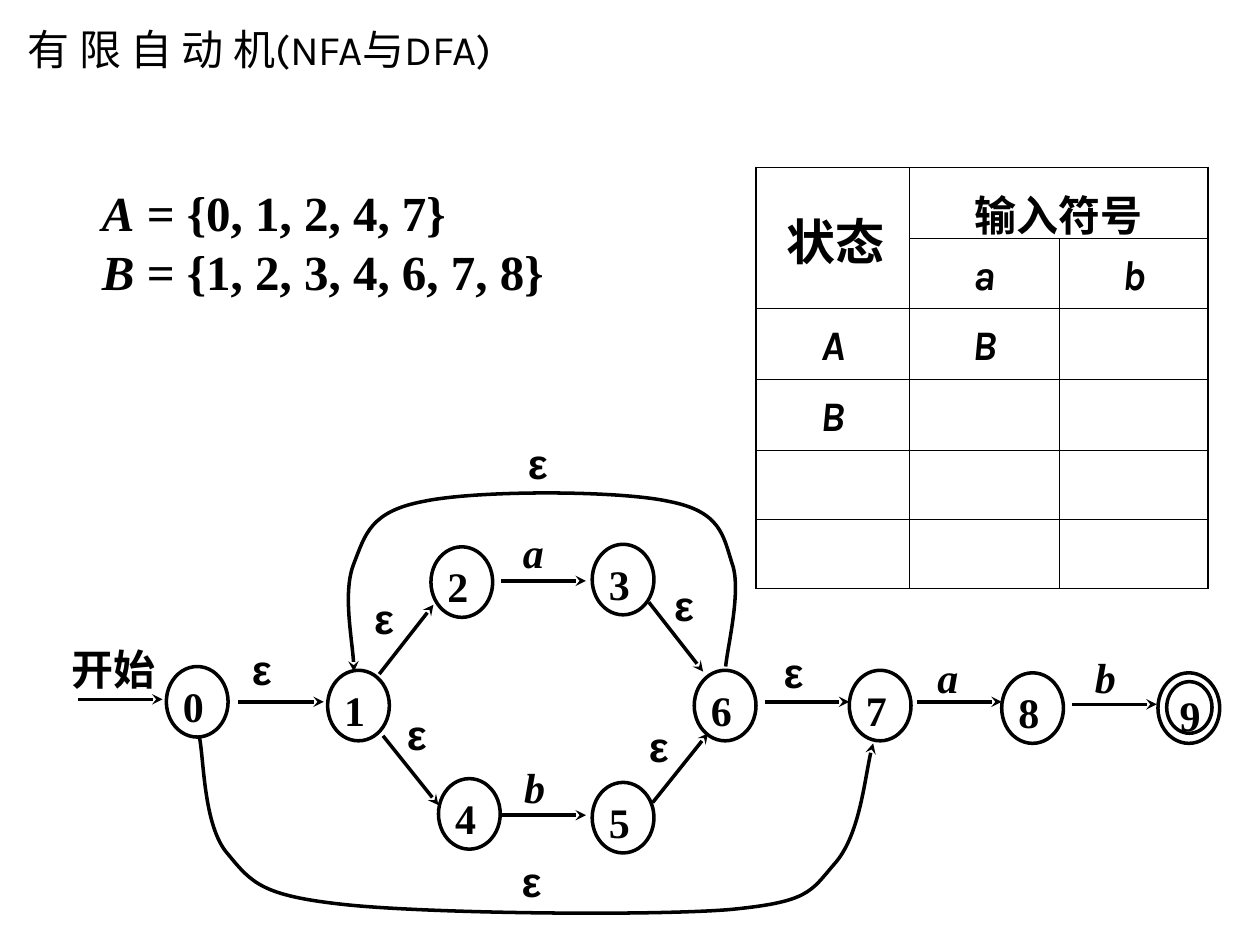
from lxml import etree
from pptx import Presentation
from pptx.dml.color import RGBColor
from pptx.enum.shapes import MSO_CONNECTOR, MSO_SHAPE
from pptx.enum.text import MSO_ANCHOR, MSO_AUTO_SIZE, PP_ALIGN
from pptx.oxml.ns import qn
from pptx.util import Inches, Pt

LEFT, CENTER, JUSTIFY = PP_ALIGN.LEFT, PP_ALIGN.CENTER, PP_ALIGN.JUSTIFY
TOP, MIDDLE = MSO_ANCHOR.TOP, MSO_ANCHOR.MIDDLE
RECTANGLE, OVAL = MSO_SHAPE.RECTANGLE, MSO_SHAPE.OVAL
STRAIGHT = MSO_CONNECTOR.STRAIGHT
NO_AUTOFIT = MSO_AUTO_SIZE.NONE
color = RGBColor.from_string
BLACK, WHITE = "000000", "FFFFFF"
SERIF, SANS, LABEL_FONT = "Times New Roman", "Karla", "Arial"
LABEL_INSETS = (0.06, 0.03, 0.06, 0.03)


def write(frame, text, size=24, font=SERIF, bold=True, italic=False,
          align=LEFT, anchor=TOP, insets=LABEL_INSETS, wrap=True):
    """Add a span to the last paragraph of the frame; cells take no insets."""
    if insets:
        frame.word_wrap = wrap
        frame.vertical_anchor = anchor
        (frame.margin_left, frame.margin_top,
         frame.margin_right, frame.margin_bottom) = map(Inches, insets)
    para = frame.paragraphs[-1]
    para.alignment = align
    span = para.add_run()
    span.text = text
    span.font.size = Pt(size)
    span.font.name = font
    span.font.bold = bold
    span.font.italic = italic
    span.font.color.rgb = color(BLACK)


def style_arrow(shape):
    shape.line.color.rgb = color(BLACK)
    shape.line.width = Pt(2)
    properties = shape._element.spPr
    etree.SubElement(properties.find(qn("a:ln")), qn("a:tailEnd"), type="stealth")
    etree.SubElement(properties, qn("a:effectLst"))


deck = Presentation()
deck.slide_width, deck.slide_height = Inches(10), Inches(7.5)
page = deck.slides.add_slide(deck.slide_layouts[5])

# Title
title = page.shapes.title
title.left, title.top = Inches(0.12), Inches(0.05)
title.width, title.height = Inches(4.09), Inches(0.68)
title.fill.solid()
title.fill.fore_color.rgb = color(WHITE)
title.text_frame.auto_size = NO_AUTOFIT
write(title.text_frame, "有 限 自 动 机(NFA与DFA)", font=SANS, bold=False,
      anchor=MIDDLE, insets=(0.1, 0.05, 0.1, 0.05))

# Automaton states: name, left, top, width, height
diagram = page.shapes.add_group_shape().shapes
STATE_SIZE = (0.49, 0.56)
states = [
    ("0", 1.32, 5.29, *STATE_SIZE), ("1", 2.6, 5.32, *STATE_SIZE),
    ("2", 3.42, 4.34, *STATE_SIZE), ("3", 4.7, 4.32, *STATE_SIZE),
    ("4", 3.48, 6.18, *STATE_SIZE), ("5", 4.7, 6.21, *STATE_SIZE),
    ("6", 5.51, 5.32, *STATE_SIZE), ("7", 6.74, 5.32, *STATE_SIZE),
    ("8", 7.95, 5.34, *STATE_SIZE),
    ("", 9.19, 5.34, *STATE_SIZE), ("9", 9.26, 5.41, 0.36, 0.41),
]
for name, *place in states:
    state = diagram.add_shape(OVAL, *map(Inches, place))
    state.shadow.inherit = False
    state.fill.background()
    state.line.color.rgb = color(BLACK)
    state.line.width = Pt(2)
    if name:
        insets = (0.05, 0, 0.01, 0) if name == "9" else (0.06, 0.03, 0.02, 0.05)
        write(state.text_frame, name, insets=insets)

# Straight transitions: from x, from y, to x, to y
transitions = [
    (0.62, 5.55, 1.29, 5.55), (1.89, 5.57, 2.57, 5.57),
    (3.01, 5.35, 3.44, 4.8), (3.04, 5.84, 3.48, 6.39),
    (3.98, 4.61, 4.65, 4.61), (3.98, 6.47, 4.65, 6.47),
    (5.15, 4.78, 5.58, 5.33), (5.18, 6.37, 5.62, 5.82),
    (6.07, 5.57, 6.74, 5.57), (7.28, 5.57, 7.95, 5.57),
    (8.51, 5.59, 9.18, 5.59),
]
for ends in transitions:
    style_arrow(diagram.add_connector(STRAIGHT, *map(Inches, ends)))

# Curved transitions: a start point, then three points for each Bezier piece
curves = [
    [(1.58, 5.84), (1.62, 6), (1.61, 6.56), (1.81, 6.78),
     (2, 7.01), (2.08, 7.11), (2.74, 7.18), (3.4, 7.25), (5.13, 7.27), (5.78, 7.22),
     (6.42, 7.16), (6.43, 7.08), (6.62, 6.86), (6.82, 6.64), (6.87, 6.1), (6.93, 5.9)],
    [(5.76, 5.29), (5.77, 5.15), (5.89, 4.68), (5.81, 4.47),
     (5.74, 4.25), (5.72, 4.06), (5.31, 3.98), (4.9, 3.89), (3.78, 3.89), (3.36, 3.98),
     (2.94, 4.06), (2.9, 4.24), (2.81, 4.47), (2.72, 4.69), (2.81, 5.15), (2.81, 5.33)],
]
for points in curves:
    start, *rest = [(Inches(x), Inches(y)) for x, y in points]
    builder = diagram.build_freeform(*start)
    builder.add_line_segments(rest, close=False)
    curve = builder.convert_to_shape()
    curve.fill.background()
    style_arrow(curve)
    outline = next(curve._element.iter(qn("a:path")))
    segments = outline.findall(qn("a:lnTo"))
    for first in range(0, len(segments), 3):
        bezier = etree.SubElement(outline, qn("a:cubicBezTo"))
        for segment in segments[first:first + 3]:
            bezier.append(segment[0])
            outline.remove(segment)

# Transition labels: text, left, top, width, height
labels = [
    ("开始", 0.51, 5.08, 0.79, 0.53),
    ("a", 4.09, 4.15, 0.4, 0.45), ("b", 4.1, 6.01, 0.4, 0.45),
    ("a", 7.38, 5.14, 0.4, 0.45), ("b", 8.63, 5.14, 0.45, 0.47),
]
epsilon_corners = [(1.94, 5.08), (2.91, 4.67), (3.17, 5.59), (5.29, 4.57),
                   (5.09, 5.69), (4.08, 6.76), (4.13, 3.44), (6.16, 5.1)]
labels += [("ε", left, top, 0.43, 0.45) for left, top in epsilon_corners]
for text, *place in labels:
    box = diagram.add_textbox(*map(Inches, place))
    write(box.text_frame, text, font=LABEL_FONT if text == "ε" else SERIF,
          italic=text in "ab", align=JUSTIFY)

# Transition table
column_widths = [1.22, 1.19, 1.18]
row_heights = [0.53, 0.53, 0.55, 0.55, 0.55, 0.55]
rows, columns = len(row_heights), len(column_widths)
table = page.shapes.add_table(rows, columns, Inches(6), Inches(1.33),
                              Inches(3.58), Inches(3.26)).table
table.first_row = table.horz_banding = False
for column, width in zip(table.columns, column_widths):
    column.width = Inches(width)
for row, height in zip(table.rows, row_heights):
    row.height = Inches(height)
table.cell(0, 0).merge(table.cell(1, 0))
table.cell(0, 1).merge(table.cell(0, 2))

entries = {(0, 1): "输入符号", (1, 1): "a", (1, 2): "b",
           (2, 0): "A", (2, 1): "B", (3, 0): "B"}
for r in range(rows):
    for c in range(columns):
        cell = table.cell(r, c)
        cell.margin_left = cell.margin_right = Inches(0.06)
        outer_sides = {
            "lnL": c == 0, "lnR": c + cell.span_width == columns or c == columns - 1,
            "lnT": r == 0, "lnB": r == rows - 1,
        }
        for side, outer in outer_sides.items():
            border = etree.SubElement(cell._tc.get_or_add_tcPr(), qn(f"a:{side}"),
                                      w=str(Pt(1.08 if outer else 0.45)))
            paint = etree.SubElement(border, qn("a:solidFill"))
            etree.SubElement(paint, qn("a:srgbClr"), val=BLACK)
        cell.fill.background()
        if (r, c) in entries:
            write(cell.text_frame, entries[r, c], font=SANS, italic=r > 0,
                  align=CENTER, insets=None)
            cell.text_frame.paragraphs[0].line_spacing = 1.15

# State heading over the merged cell, and the subsets
state_heading, subsets = [
    page.shapes.add_shape(RECTANGLE, *map(Inches, place))
    for place in [(6.17, 1.5, 0.92, 0.83), (0.75, 1.42, 4, 2.17)]
]
for box in (state_heading, subsets):
    box.shadow.inherit = False
    box.fill.solid()
    box.fill.fore_color.rgb = color(WHITE)
    box.line.fill.background()
write(state_heading.text_frame, "状态", size=28, align=CENTER, anchor=MIDDLE, wrap=False)
write(subsets.text_frame, "A", size=28, italic=True)
write(subsets.text_frame, " = {0, 1, 2, 4, 7}", size=28)
subsets.text_frame.add_paragraph()
write(subsets.text_frame, "B", size=28, italic=True)
write(subsets.text_frame, " = {1, 2, 3, 4, 6, 7, 8}", size=28)

deck.save("out.pptx")
